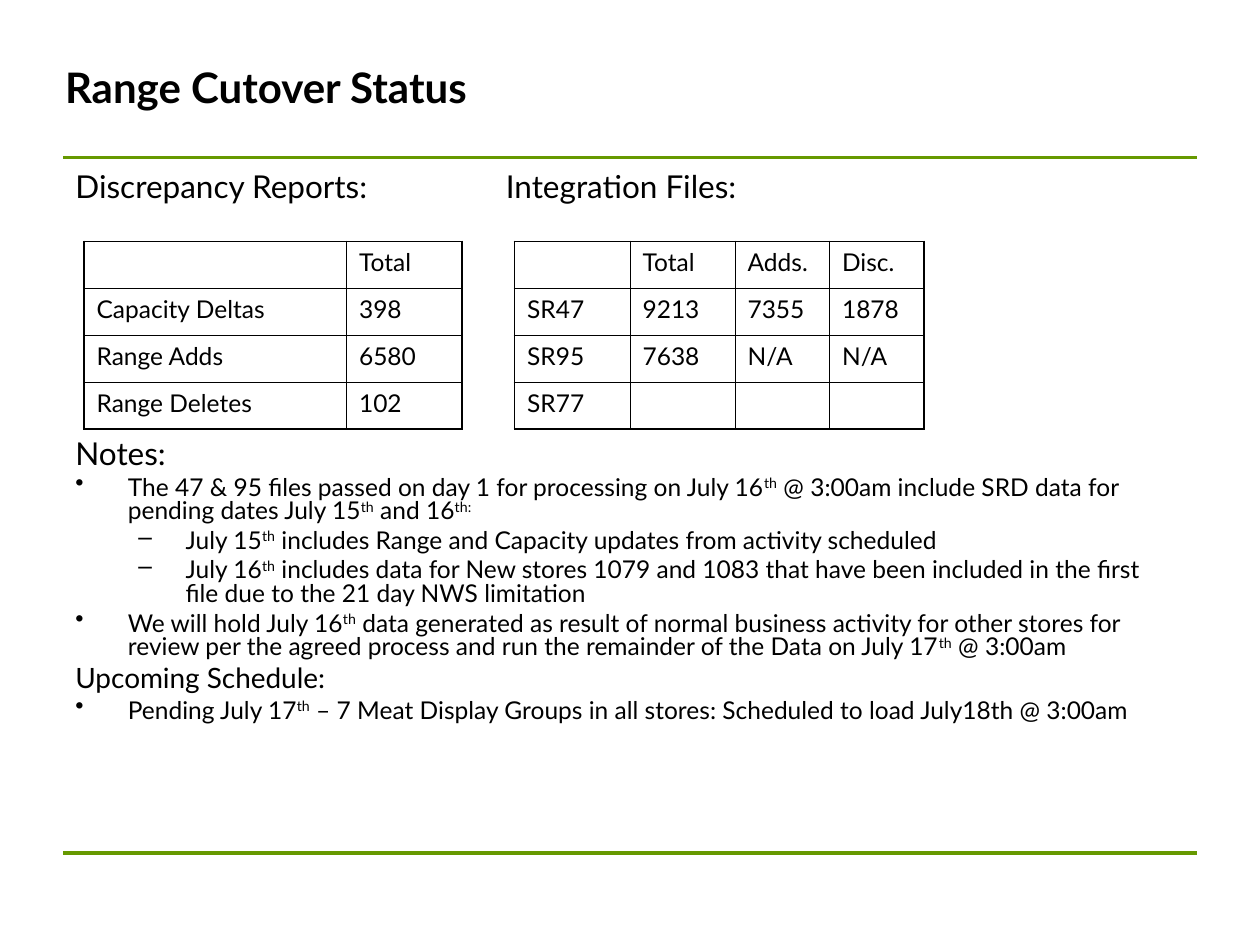
from lxml.etree import SubElement
from pptx import Presentation
from pptx.dml.color import RGBColor
from pptx.enum.shapes import MSO_CONNECTOR
from pptx.enum.text import MSO_ANCHOR, MSO_AUTO_SIZE, PP_ALIGN
from pptx.oxml import parse_xml
from pptx.oxml.ns import nsdecls, qn
from pptx.util import Pt

BLACK = RGBColor(0, 0, 0)
GREEN = RGBColor(0x66, 0x99, 0x00)
FONT = "Lato"
THICK, THIN = 1.08, 0.45
ROW = 26.8
HANG = {"•": (0, 30, -30), "–": (1, 63, -27)}  # level, margin, indent

NOTES = [
    ("•", "The 47 & 95 files passed on day 1 for processing on July 16^th^ @ 3:00am "
          "include SRD data for pending dates July 15^th^ and 16^th:^"),
    ("–", "July 15^th^ includes Range and Capacity updates from activity scheduled"),
    ("–", "July 16^th^ includes data for New stores 1079 and 1083 that have been "
          "included in the first file due to the 21 day NWS limitation"),
    ("•", "We will hold July 16^th^ data generated as result of normal business "
          "activity for other stores for review per the agreed process and run the "
          "remainder of the Data on July 17^th^ @ 3:00am"),
]
PLAN = ("•", "Pending July 17^th^ – 7 Meat Display Groups in all stores: "
             "Scheduled to load July18th @ 3:00am")
REPORTS = [
    ["", "Total"],
    ["Capacity Deltas", "398"],
    ["Range Adds", "6580"],
    ["Range Deletes", "102"],
]
FILES = [
    ["", "Total", "Adds.", "Disc."],
    ["SR47", "9213", "7355", "1878"],
    ["SR95", "7638", "N/A", "N/A"],
    ["SR77", "", "", ""],
]


def write(para, text, size=14, bold=False, before=0, spacing=None, bullet=None, tab=None):
    """Fill a paragraph; text between carets is superscript."""
    para.alignment = PP_ALIGN.LEFT
    para.space_before = Pt(before)
    if spacing:
        para.line_spacing = spacing
    props = para._p.get_or_add_pPr()
    if bullet:
        level, margin, indent = HANG[bullet]
        para.level = level
        props.set("marL", str(Pt(margin)))
        props.set("indent", str(Pt(indent)))
        SubElement(props, qn("a:buChar"), char=bullet)
    if tab:
        tabs = SubElement(props, qn("a:tabLst"))
        SubElement(tabs, qn("a:tab"), pos=str(Pt(tab)), algn="l")
    if not text:
        para._p.get_or_add_endParaRPr().set("sz", str(size * 100))
        return
    for i, part in enumerate(text.split("^")):
        if not part:
            continue
        run = para.add_run()
        run.text = part
        font = run.font
        font.name, font.size, font.bold = FONT, Pt(size), bold
        font.color.rgb = BLACK
        if i % 2:
            run._r.get_or_add_rPr().set("baseline", "30000")


def add_title(slide, text):
    title = slide.shapes.title
    title.left, title.top, title.width, title.height = Pt(30), Pt(21.6), Pt(552), Pt(56)
    frame = title.text_frame
    frame.auto_size = MSO_AUTO_SIZE.NONE
    frame.vertical_anchor = MSO_ANCHOR.MIDDLE
    write(frame.paragraphs[0], text, size=24, bold=True)


def add_rule(slide, y):
    line = slide.shapes.add_connector(MSO_CONNECTOR.STRAIGHT, Pt(36), Pt(y), Pt(684), Pt(y))
    line.line.color.rgb = GREEN
    line.line.width = Pt(2.25)
    SubElement(line._element.spPr, qn("a:effectLst"))


def add_body(slide):
    box = slide.shapes.add_textbox(Pt(36), Pt(96), Pt(624), Pt(380))
    frame = box.text_frame
    frame.word_wrap = True

    def add(text, **form):
        write(frame.add_paragraph(), text, spacing=0.8, **form)

    write(frame.paragraphs[0], "Discrepancy Reports:\tIntegration Files:",
          size=18, spacing=0.8, tab=246)
    add("Notes:", size=18, before=135.2)  # clears the tables
    for mark, text in NOTES:
        add(text, before=3.5, bullet=mark)
    add("Upcoming Schedule:", size=16, before=4)
    mark, text = PLAN
    add(text, before=3.5, bullet=mark)


def add_edges(cell, widths):
    """Draw the left, right, top and bottom borders, in that order."""
    props = cell._tc.get_or_add_tcPr()
    for i, (side, width) in enumerate(zip("LRTB", widths)):
        props.insert(i, parse_xml(
            f'<a:ln{side} {nsdecls("a")} w="{Pt(width)}"><a:solidFill>'
            f'<a:srgbClr val="{BLACK}"/></a:solidFill></a:ln{side}>'))


def add_grid(slide, left, cols, rows):
    """Place a table with a thick frame and thin inner lines."""
    table = slide.shapes.add_table(len(rows), len(cols), Pt(left), Pt(138),
                                   Pt(sum(cols)), Pt(ROW * len(rows))).table
    table.first_row = table.horz_banding = False
    for col, width in zip(table.columns, cols):
        col.width = Pt(width)
    for r, row in enumerate(rows):
        table.rows[r].height = Pt(ROW)
        for c, text in enumerate(row):
            cell = table.cell(r, c)
            cell.fill.background()
            outer = (c == 0, c == len(cols) - 1, r == 0, r == len(rows) - 1)
            add_edges(cell, [THICK if edge else THIN for edge in outer])
            write(cell.text_frame.paragraphs[0], text)


def main():
    deck = Presentation()
    deck.slide_width, deck.slide_height = Pt(720), Pt(540)
    slide = deck.slides.add_slide(deck.slide_layouts[5])
    for y in (90, 487.5):
        add_rule(slide, y)
    add_title(slide, "Range Cutover Status")
    add_body(slide)
    add_grid(slide, 48, [150, 66], REPORTS)
    add_grid(slide, 294, [66, 60, 54, 54], FILES)
    deck.save("out.pptx")


if __name__ == "__main__":
    main()
